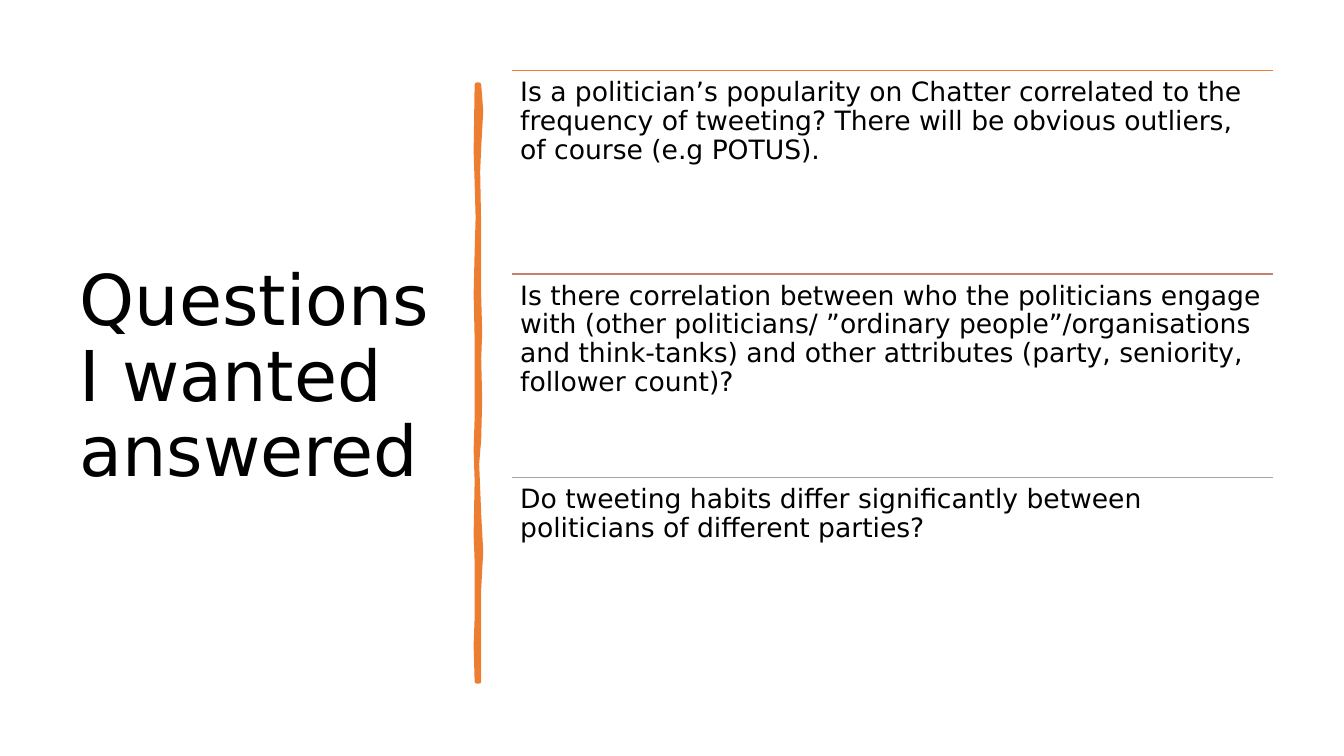
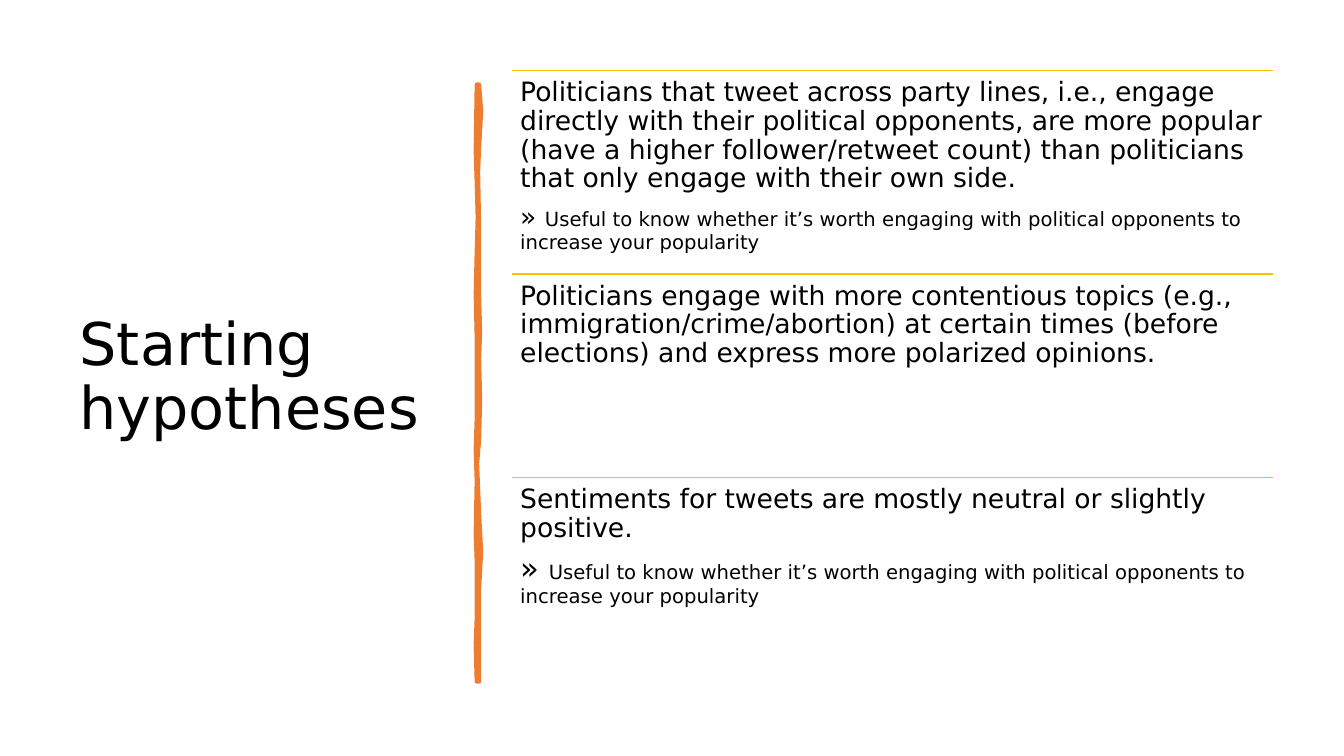
from lxml import etree
from pptx import Presentation
from pptx.dml.color import RGBColor
from pptx.enum.shapes import MSO_CONNECTOR
from pptx.enum.text import MSO_ANCHOR, MSO_AUTO_SIZE, PP_ALIGN
from pptx.oxml.ns import qn
from pptx.util import Inches, Pt

STRAIGHT = MSO_CONNECTOR.STRAIGHT
TOP_ANCHOR, MIDDLE = MSO_ANCHOR.TOP, MSO_ANCHOR.MIDDLE
NO_FIT = MSO_AUTO_SIZE.NONE
LEFT_ALIGN = PP_ALIGN.LEFT

BLACK = RGBColor(0x00, 0x00, 0x00)
ORANGE = RGBColor(0xED, 0x7D, 0x31)
CLAY = RGBColor(0xC4, 0x81, 0x70)
GRAY = RGBColor(0xA5, 0xA5, 0xA5)
GOLD = RGBColor(0xFF, 0xC0, 0x00)

FONT = "DejaVu Sans"
SLIDE_W, SLIDE_H = Inches(13.33), Inches(7.5)
TITLE_X, TITLE_W, TITLE_H = Inches(0.69), Inches(3.74), Inches(6.11)
LIST_X, LIST_W = Inches(5.08), Inches(7.55)
TOP, ROW_H = Inches(0.7), Inches(2.02)
INSET = Inches(0.08)
TITLE_ONLY = 5

BRUSH_RIGHT = [
    (4.75, 0.84), (4.77, 1.1), (4.75, 1.46), (4.74, 1.7), (4.75, 2.26),
    (4.75, 2.94), (4.76, 3.3), (4.75, 3.56), (4.76, 3.96), (4.75, 4.36),
    (4.73, 4.6), (4.75, 5.1), (4.77, 5.47), (4.75, 5.84), (4.75, 6.76),
]
BRUSH_LEFT = [
    (4.73, 6.76), (4.72, 6.4), (4.73, 6.13), (4.73, 5.57), (4.72, 5.3),
    (4.73, 4.77), (4.72, 4.46), (4.73, 4.15), (4.73, 3.35), (4.72, 2.92),
    (4.73, 2.5), (4.74, 2.16), (4.73, 1.81), (4.72, 1.5), (4.73, 0.84),
]

USEFUL = ("Useful to know whether it’s worth engaging with political "
          "opponents to increase your popularity")

QUESTIONS = [
    (ORANGE, [[("Is a politician’s popularity on Chatter correlated to the "
                "frequency of tweeting? There will be obvious outliers, of "
                "course (e.g POTUS).", 19)]]),
    (CLAY, [[("Is there correlation between who the politicians engage with "
              "(other politicians/ ”ordinary people”/organisations and "
              "think-tanks) and other attributes (party, seniority, "
              "follower count)?", 19)]]),
    (GRAY, [[("Do tweeting habits differ significantly between politicians "
              "of different parties?", 19)]]),
]
HYPOTHESES = [
    (GOLD, [[("Politicians that tweet across party lines, i.e., engage "
              "directly with their political opponents, are more popular "
              "(have a higher follower/retweet count) than politicians that "
              "only engage with their own side.", 19)],
            [("» ", 19), (USEFUL, 14)]]),
    (GOLD, [[("Politicians engage with more contentious topics (e.g., "
              "immigration/crime/abortion) at certain times (before "
              "elections) and express more polarized opinions.", 19)]]),
    (GOLD, [[("Sentiments for tweets are mostly neutral or slightly "
              "positive.", 19)],
            [("» ", 22), (USEFUL, 14)]]),
]


def write(tf, paragraphs, anchor=TOP_ANCHOR, inset=None, after=0, color=BLACK):
    """Fill a text frame with paragraphs of (text, size) runs."""
    tf.word_wrap, tf.auto_size, tf.vertical_anchor = True, NO_FIT, anchor
    if inset is not None:
        tf.margin_left = tf.margin_right = inset
        tf.margin_top = tf.margin_bottom = inset
    for i, runs in enumerate(paragraphs):
        p = tf.add_paragraph() if i else tf.paragraphs[0]
        p.alignment, p.line_spacing, p.space_after = LEFT_ALIGN, 0.9, Pt(after)
        for text, size in runs:
            r = p.add_run()
            r.text = text
            r.font.name, r.font.size = FONT, Pt(size)
            r.font.color.rgb = color


def add_title(s, text, size):
    """Place the title in the left column."""
    sp = s.shapes.title
    sp.left, sp.top, sp.width, sp.height = TITLE_X, TOP, TITLE_W, TITLE_H
    write(sp.text_frame, [[(text, size)]], anchor=MIDDLE)


def add_brush_stroke(s):
    """Draw the wavy vertical stroke between title and list."""
    start, *rest = [(Inches(x), Inches(y)) for x, y in BRUSH_RIGHT + BRUSH_LEFT]
    builder = s.shapes.build_freeform(*start)
    builder.add_line_segments(rest, close=True)
    sp = builder.convert_to_shape()
    sp.shadow.inherit = False
    sp.fill.solid()
    sp.fill.fore_color.rgb = ORANGE
    sp.line.color.rgb = ORANGE
    sp.line.width = Pt(3.25)
    etree.SubElement(sp.line._get_or_add_ln(), qn("a:round"))


def add_rule(shapes, y, color):
    """Draw a thin rule across the list column."""
    line = shapes.add_connector(STRAIGHT, LIST_X, y, LIST_X + LIST_W, y)
    line.line.color.rgb = color
    line.line.width = Pt(1)
    etree.SubElement(line._element.spPr, qn("a:effectLst"))


def add_ruled_list(s, items):
    """Stack the items in equal rows, each under its rule."""
    group = s.shapes.add_group_shape()
    for i, (color, paragraphs) in enumerate(items):
        y = TOP + i * ROW_H
        add_rule(group.shapes, y, color)
        box = group.shapes.add_textbox(LIST_X, y, LIST_W, ROW_H)
        write(box.text_frame, paragraphs, inset=INSET, after=7)


def add_list_slide(prs, title, size, items):
    """Add a slide with a title, a brush stroke and a ruled list."""
    s = prs.slides.add_slide(prs.slide_layouts[TITLE_ONLY])
    add_title(s, title, size)
    add_brush_stroke(s)
    add_ruled_list(s, items)


def main():
    """Build and save the presentation."""
    prs = Presentation()
    prs.slide_width, prs.slide_height = SLIDE_W, SLIDE_H
    add_list_slide(prs, "Questions I wanted answered", 50, QUESTIONS)
    add_list_slide(prs, "Starting hypotheses", 42, HYPOTHESES)
    prs.save("out.pptx")


if __name__ == "__main__":
    main()
